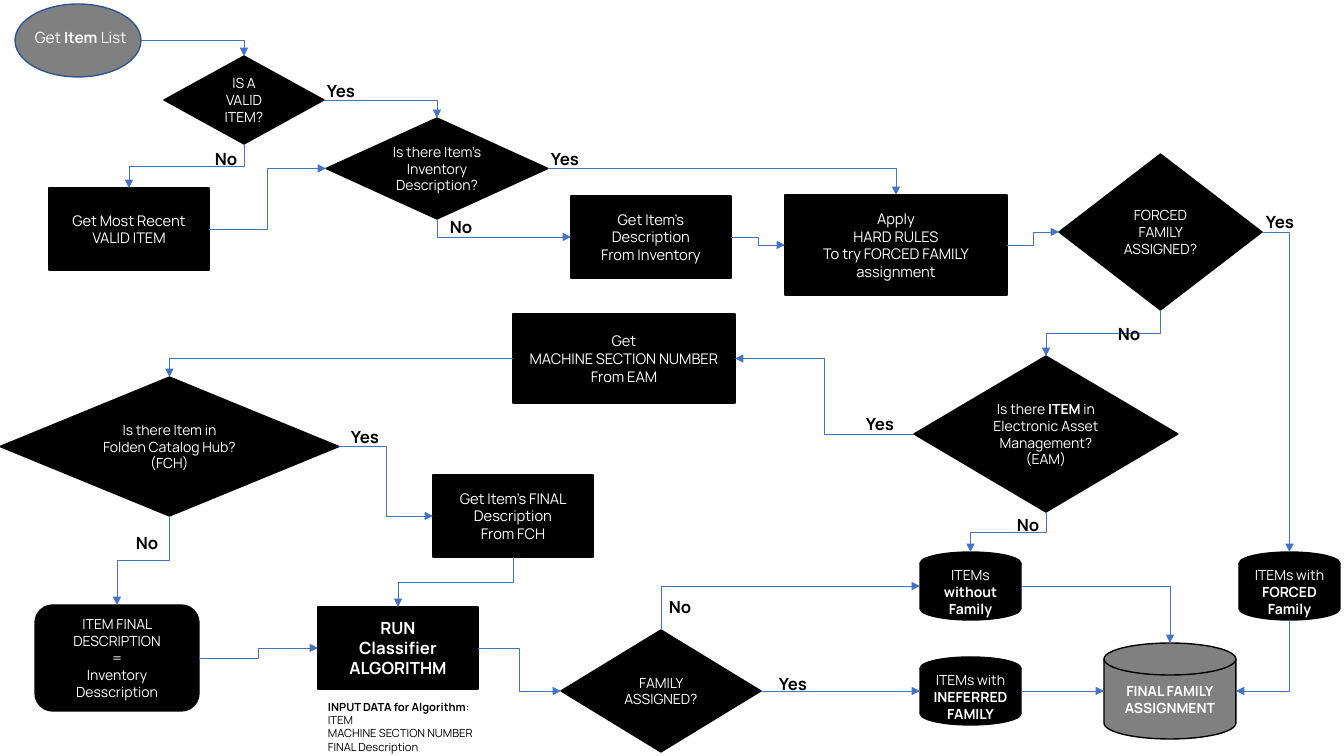
"""Build the item family classification flowchart slide."""
import lxml.etree
import pptx
import pptx.dml.color
import pptx.enum.shapes
import pptx.enum.text
import pptx.oxml.ns
import pptx.util

SHAPE = pptx.enum.shapes.MSO_SHAPE
DISK = SHAPE.FLOWCHART_MAGNETIC_DISK
ALIGN = pptx.enum.text.PP_ALIGN
BLACK, WHITE, GRAY, BLUE, NAVY = "000000", "FFFFFF", "808080", "4472C4", "325491"
EMU_PER_PX = 914400 / 100.8
SITES = {SHAPE.OVAL: dict(t=0, l=2, b=4, r=6), DISK: dict(t=1, l=2, b=3, r=4)}
BOX_SITES = dict(t=0, l=1, b=2, r=3)


def px(n):
    """Convert pixels to EMU."""
    return pptx.util.Emu(round(n * EMU_PER_PX))


def rgb(color):
    """Convert a hex string to a colour."""
    return pptx.dml.color.RGBColor.from_string(color)


def add(parent, tag, **attrs):
    """Append a namespaced child element."""
    return lxml.etree.SubElement(parent, pptx.oxml.ns.qn(tag), attrs)


def write(tf, text, size=10, color=WHITE, align=ALIGN.LEFT):
    """Fill a frame: newline starts a paragraph, \\v breaks a line, ** toggles bold."""
    bold = False
    for i, line in enumerate(text.split("\n")):
        p = tf.paragraphs[0] if i == 0 else tf.add_paragraph()
        p.alignment = align
        for j, piece in enumerate(line.split("**")):
            bold = bold != (j > 0)
            for k, part in enumerate(piece.split("\v")):
                if k:
                    p.add_line_break()
                if part:
                    r = p.add_run()
                    r.text = part
                    r.font.name, r.font.size, r.font.bold = "Manrope", pptx.util.Pt(size), bold
                    r.font.color.rgb = rgb(color)


class Flowchart:
    """Hold the slide and draw its elements in one style."""

    def __init__(self, slide):
        """Keep the slide to draw on."""
        self.s = slide

    def node(self, kind, box, text="", size=10, fill=BLACK, line=BLACK):
        """Add a flowchart shape with centred text."""
        sp = self.s.shapes.add_shape(kind, *map(px, box))
        sp.shadow.inherit = False
        sp.fill.solid()
        sp.fill.fore_color.rgb = rgb(fill)
        sp.line.color.rgb = rgb(line)
        sp.line.width = pptx.util.Pt(1)
        tf = sp.text_frame
        tf.word_wrap = True
        tf.vertical_anchor = pptx.enum.text.MSO_ANCHOR.MIDDLE
        write(tf, text, size, align=ALIGN.CENTER)
        return sp

    def text(self, box, text, wrap=False, **fmt):
        """Add a text box."""
        tf = self.s.shapes.add_textbox(*map(px, box)).text_frame
        tf.word_wrap = wrap
        tf.auto_size = pptx.enum.text.MSO_AUTO_SIZE.SHAPE_TO_FIT_TEXT
        write(tf, text, **fmt)

    def site(self, sp, side):
        """Return the point in the middle of a side."""
        fx, fy = dict(t=(0.5, 0), l=(0, 0.5), b=(0.5, 1), r=(1, 0.5))[side]
        return round(sp.left + fx * sp.width), round(sp.top + fy * sp.height)

    def arrow(self, start, side1, end, side2):
        """Add an elbow arrow glued to a side of each shape."""
        x1, y1 = self.site(start, side1)
        x2, y2 = self.site(end, side2)
        rot = 0
        if side1 in "tb":
            dx, dy = x2 - x1, y2 - y1
            rot = 270 if dx > 0 else 90
            cx, cy, w, h = (x1 + x2) / 2, (y1 + y2) / 2, abs(dy), abs(dx)
            if (dx > 0) == (dy > 0):
                w = -w
            x1, x2, y1, y2 = map(round, (cx - w / 2, cx + w / 2, cy - h / 2, cy + h / 2))
        c = self.s.shapes.add_connector(pptx.enum.shapes.MSO_CONNECTOR.ELBOW, x1, y1, x2, y2)
        c.line.color.rgb = rgb(BLUE)
        c.line.width = pptx.util.Pt(0.5)
        spPr = c._element.spPr
        if rot:
            spPr.xfrm.set("rot", str(rot * 60000))
        if (side1 in "tb") != (side2 in "tb"):
            spPr.find(pptx.oxml.ns.qn("a:prstGeom")).set("prst", "bentConnector2")
        add(c.line._get_or_add_ln(), "a:tailEnd", type="triangle")
        add(spPr, "a:effectLst")
        glue = c._element.nvCxnSpPr.cNvCxnSpPr
        for tag, sp, side in (("a:stCxn", start, side1), ("a:endCxn", end, side2)):
            idx = SITES.get(sp.auto_shape_type, BOX_SITES)[side]
            add(glue, tag, id=str(sp.shape_id), idx=str(idx))


prs = pptx.Presentation()
prs.slide_width, prs.slide_height = px(1344), px(756)
chart = Flowchart(prs.slides.add_slide(prs.slide_layouts[6]))

NODES = {
    "start": (SHAPE.OVAL, (15, 4, 126, 73), "", 10, GRAY, NAVY),
    "valid": (SHAPE.DIAMOND, (164, 56, 160, 88), "IS A VALID ITEM?"),
    "recent": (SHAPE.RECTANGLE, (49, 188, 160, 82), "Get Most Recent VALID ITEM", 10.5),
    "inventory": (SHAPE.DIAMOND, (326, 118, 222, 101), "Is there Item’s\nInventory Description?"),
    "describe": (SHAPE.RECTANGLE, (571, 196, 160, 82),
                 "Get Item’s Description\nFrom Inventory", 10.5),
    "rules": (SHAPE.RECTANGLE, (785, 195, 222, 100),
              "Apply\nHARD RULES\nTo try FORCED FAMILY\nassignment", 10.5),
    "forced": (SHAPE.DIAMOND, (1059, 154, 203, 156), "FORCED FAMILY ASSIGNED?"),
    "eam": (SHAPE.DIAMOND, (914, 356, 264, 156),
            "Is there **ITEM** in\nElectronic Asset Management?\n(EAM)"),
    "section": (SHAPE.RECTANGLE, (513, 314, 222, 89),
                "Get\nMACHINE SECTION NUMBER\nFrom EAM", 10.5),
    "hub": (SHAPE.DIAMOND, (0, 377, 339, 139), "Is there Item in\nFolden Catalog Hub?\n(FCH)"),
    "final_text": (SHAPE.RECTANGLE, (433, 475, 160, 82),
                   "Get Item’s FINAL Description\nFrom FCH", 10.5),
    "fallback": (SHAPE.ROUNDED_RECTANGLE, (35, 605, 164, 106),
                 "ITEM FINAL DESCRIPTION\n=\nInventory Desscription"),
    "classifier": (SHAPE.RECTANGLE, (318, 607, 160, 82), "**RUN\nClassifier\nALGORITHM", 12),
    "family": (SHAPE.DIAMOND, (561, 630, 200, 122), "FAMILY ASSIGNED?"),
    "without": (DISK, (920, 552, 101, 68), "ITEMs **without\nFamily"),
    "with_forced": (DISK, (1239, 552, 101, 68), "ITEMs with **FORCED\nFamily"),
    "inferred": (DISK, (920, 657, 101, 68), "ITEMs with\n**INEFERRED\nFAMILY"),
    "final": (DISK, (1104, 643, 132, 96), "**FINAL FAMILY\vASSIGNMENT", 10, GRAY),
}
ARROWS = [
    "start r valid t", "valid r inventory t", "valid b recent t", "recent r inventory l",
    "inventory r rules t", "inventory b describe l", "describe r rules l", "rules r forced l",
    "forced r with_forced t", "forced b eam t", "eam l section r", "eam b without t",
    "section l hub t", "hub r final_text l", "hub b fallback t", "final_text b classifier t",
    "fallback r classifier l", "classifier r family l", "family t without l",
    "family r inferred l", "without r final t", "inferred r final l", "with_forced b final r",
]
LABELS = {
    "Yes": (51, [(317, 76), (541, 144), (1256, 207), (856, 409), (341, 422), (769, 669)]),
    "No": (44, [(205, 144), (440, 212), (1108, 319), (1007, 510), (126, 528), (659, 592)]),
}

nodes = {name: chart.node(*args) for name, args in NODES.items()}
chart.text((25, 23, 117, 29), "Get **Item **List", size=11)
for arrow in ARROWS:
    start, side1, end, side2 = arrow.split()
    chart.arrow(nodes[start], side1, nodes[end], side2)
for answer, (width, spots) in LABELS.items():
    for x, y in spots:
        chart.text((x, y, width, 30), "**" + answer, size=12, color=BLACK)
chart.text((318, 695, 182, 64),
           "**INPUT DATA for Algorithm**:\nITEM\nMACHINE SECTION NUMBER\nFINAL Description",
           wrap=True, size=8, color=BLACK)

prs.save("out.pptx")
